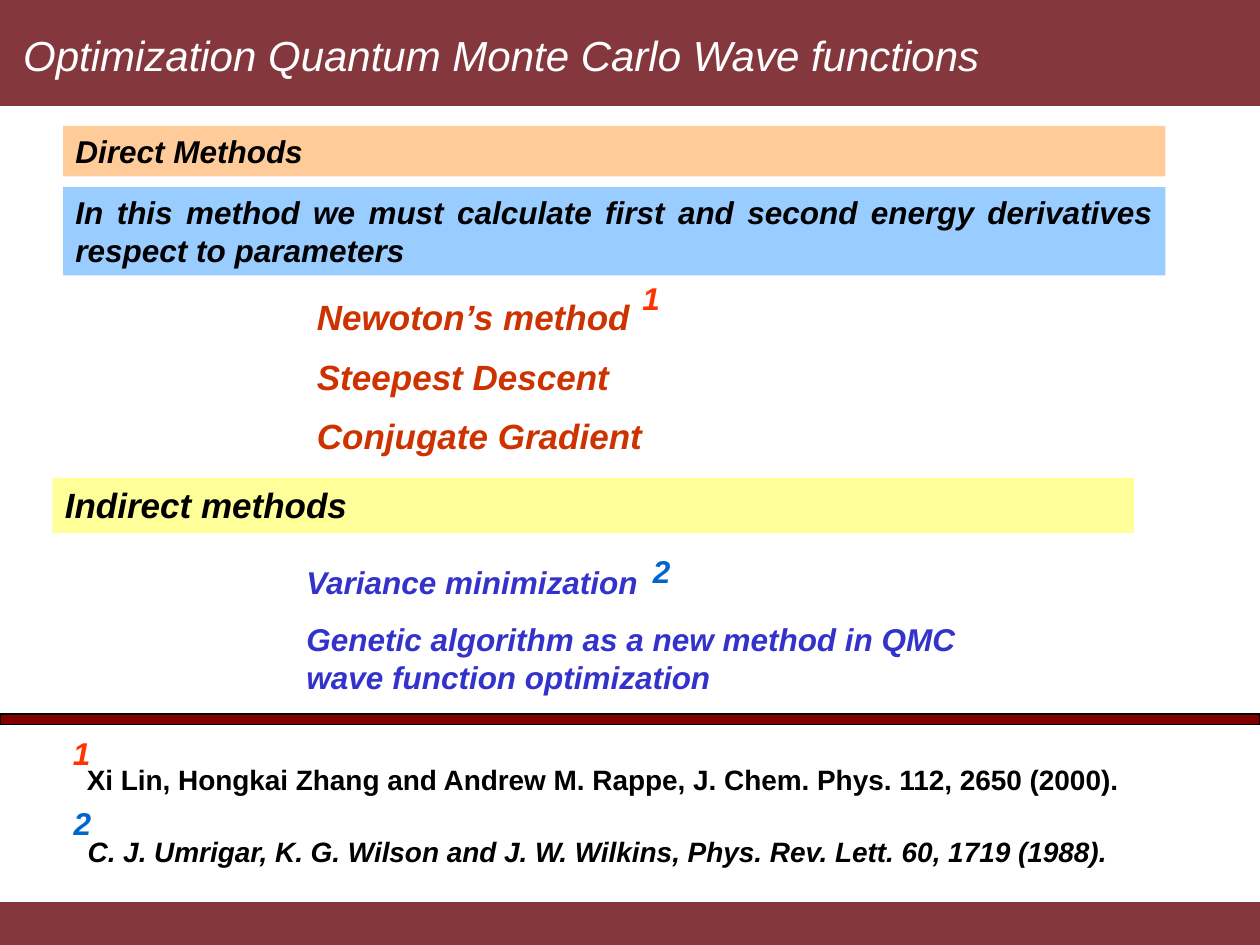
from pptx import Presentation
from pptx.dml.color import RGBColor
from pptx.enum.shapes import MSO_SHAPE
from pptx.enum.text import MSO_ANCHOR, MSO_AUTO_SIZE, PP_ALIGN
from pptx.util import Pt

WINE = "85373E"
BLACK = "000000"
RED = "FF3300"
BLUE = "0066CC"


def tint(color, code):
    color.rgb = RGBColor.from_string(code)


def bar(slide, left, top, width, height, fill, line=None):
    shape = slide.shapes.add_shape(
        MSO_SHAPE.RECTANGLE, Pt(left), Pt(top), Pt(width), Pt(height))
    shape.shadow.inherit = False
    shape.fill.solid()
    tint(shape.fill.fore_color, fill)
    if line:
        tint(shape.line.color, line)
        shape.line.width = Pt(0.75)
    else:
        shape.line.fill.background()
    return shape


def write(shape, lines, size, color=BLACK, bold=True, italic=True, gap=0,
          space=1, align=PP_ALIGN.LEFT, anchor=MSO_ANCHOR.TOP, wrap=True):
    frame = shape.text_frame
    frame.text = "\n".join(lines)
    frame.word_wrap = wrap
    frame.auto_size = MSO_AUTO_SIZE.SHAPE_TO_FIT_TEXT
    frame.vertical_anchor = anchor
    frame.margin_left = frame.margin_right = Pt(7.2)
    frame.margin_top = frame.margin_bottom = Pt(3.6)
    for para in frame.paragraphs:
        para.alignment = align
        para.space_before = Pt(gap)
        para.line_spacing = space
        font = para.font
        font.name, font.size = "Arial", Pt(size)
        font.bold, font.italic = bold, italic
        tint(font.color, color)


def label(slide, left, top, width, height, lines, size, **style):
    box = slide.shapes.add_textbox(Pt(left), Pt(top), Pt(width), Pt(height))
    write(box, lines, size, **style)


def mark(slide, left, top, width, text, color):
    label(slide, left, top, width, 28.8, [text], 18, color=color, gap=11.2)


def head(slide, text):
    title = slide.shapes.title
    title.element.getparent().append(title.element)
    title.left, title.top = Pt(6), Pt(13.5)
    title.width, title.height = Pt(696), Pt(36)
    write(title, [text], 24, color="FFFFFF", bold=False, gap=15)


def main():
    deck = Presentation()
    deck.slide_width, deck.slide_height = Pt(720), Pt(540)
    slide = deck.slides.add_slide(deck.slide_layouts[5])

    bar(slide, 0, 0, 720, 60, WINE, WINE)
    bar(slide, 0, 516, 720, 24, WINE, WINE)
    head(slide, "Optimization Quantum Monte Carlo Wave functions")

    direct = bar(slide, 36, 72, 630, 28.8, "FFCC99")
    write(direct, ["Direct Methods"], 18, gap=11.2)
    need = bar(slide, 36, 107, 630, 50.4, "99CCFF")
    write(need, ["In this method we must calculate first and second energy "
                 "derivatives respect to parameters"],
          18, gap=11.2, align=PP_ALIGN.JUSTIFY)
    ways = bar(slide, 174, 168, 384, 97, "FFFFFF")
    write(ways, ["Newoton’s method", "Steepest Descent",
                 "Conjugate Gradient"],
          20, color="CC3300", gap=12.5, space=0.9)
    mark(slide, 360, 156, 30, "1", RED)

    label(slide, 42.5, 432.3, 610.5, 26.6,
          ["Xi Lin, Hongkai Zhang and Andrew M. Rappe, "
           "J. Chem. Phys. 112, 2650 (2000)."],
          16, italic=False, anchor=MSO_ANCHOR.MIDDLE, wrap=False)
    mark(slide, 34.5, 416, 24, "1", RED)
    label(slide, 43, 471, 615.6, 28.8,
          ["C. J. Umrigar, K. G. Wilson and J. W. Wilkins, "
           "Phys. Rev. Lett. 60, 1719 (1988)."],
          16, space=1.1, anchor=MSO_ANCHOR.MIDDLE)
    mark(slide, 35, 456, 21, "2", BLUE)

    label(slide, 168, 318, 411, 83.5,
          ["Variance minimization",
           "Genetic algorithm as a new method in QMC "
           "wave function optimization"],
          18, color="3333CC", gap=11.2)
    other = bar(slide, 30, 273, 618, 31.5, "FFFF99")
    write(other, ["Indirect methods"], 20, gap=12.5)
    mark(slide, 366, 312, 25, "2", BLUE)
    bar(slide, 0, 408, 720, 6, "800000", BLACK)

    deck.save("out.pptx")


if __name__ == "__main__":
    main()
